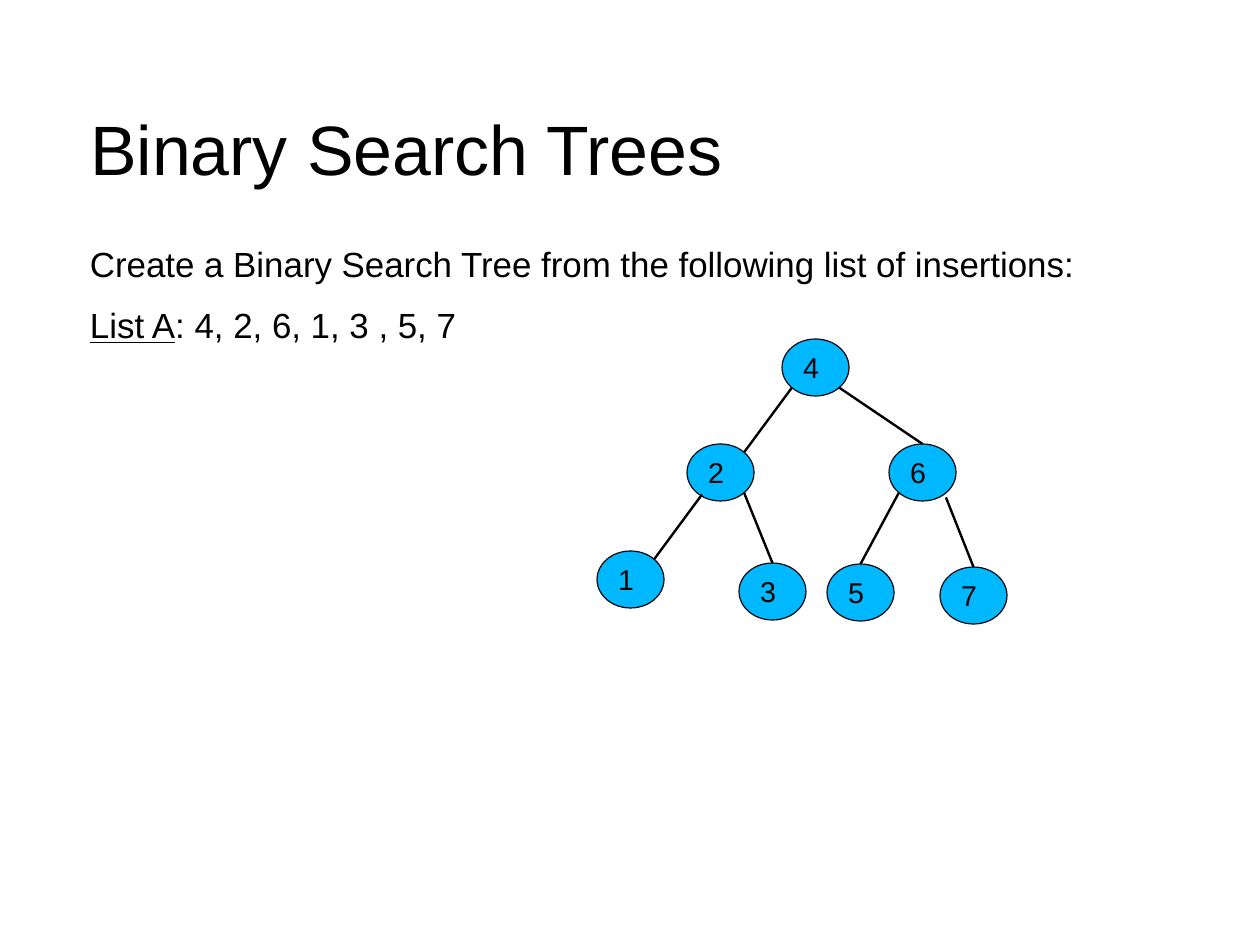
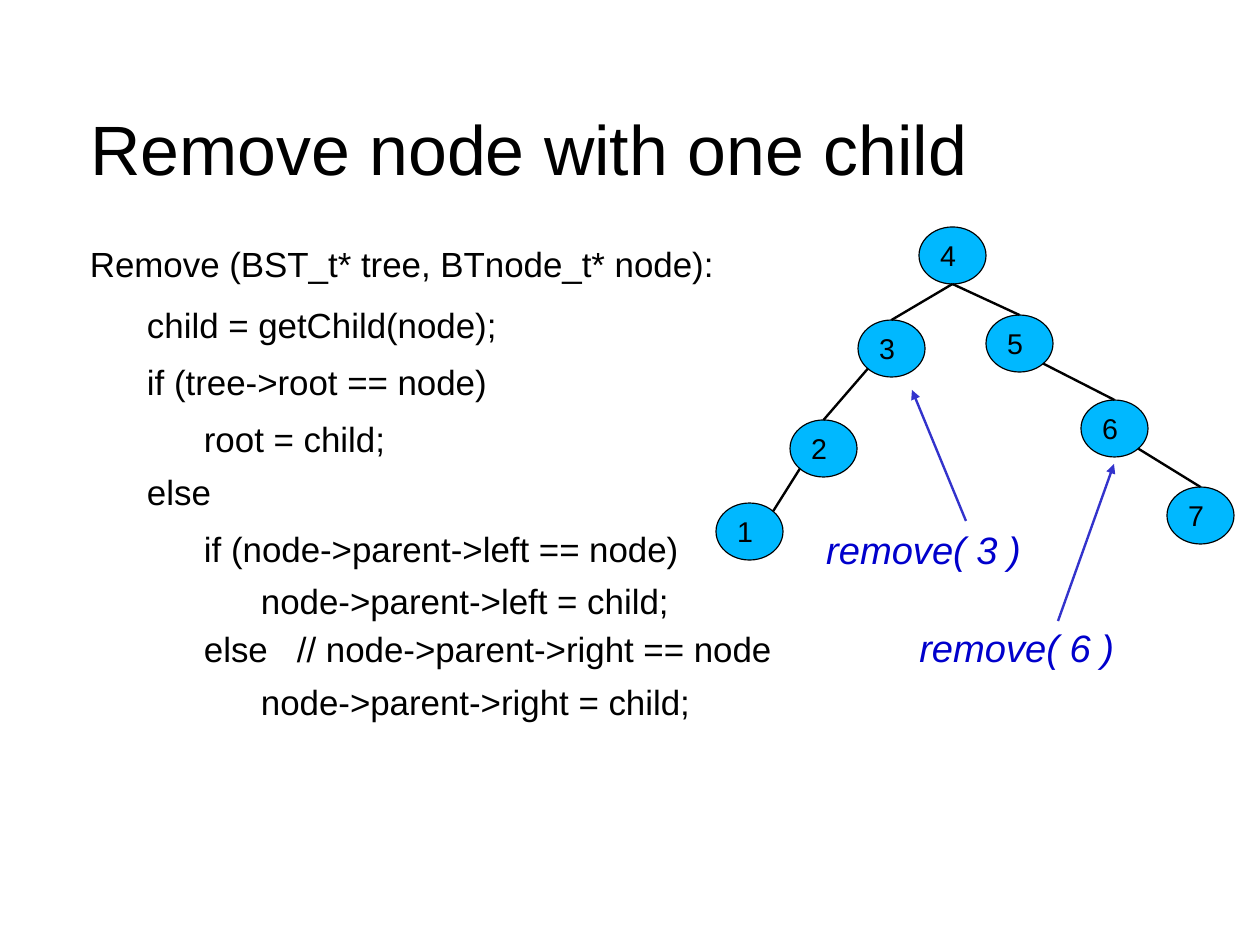
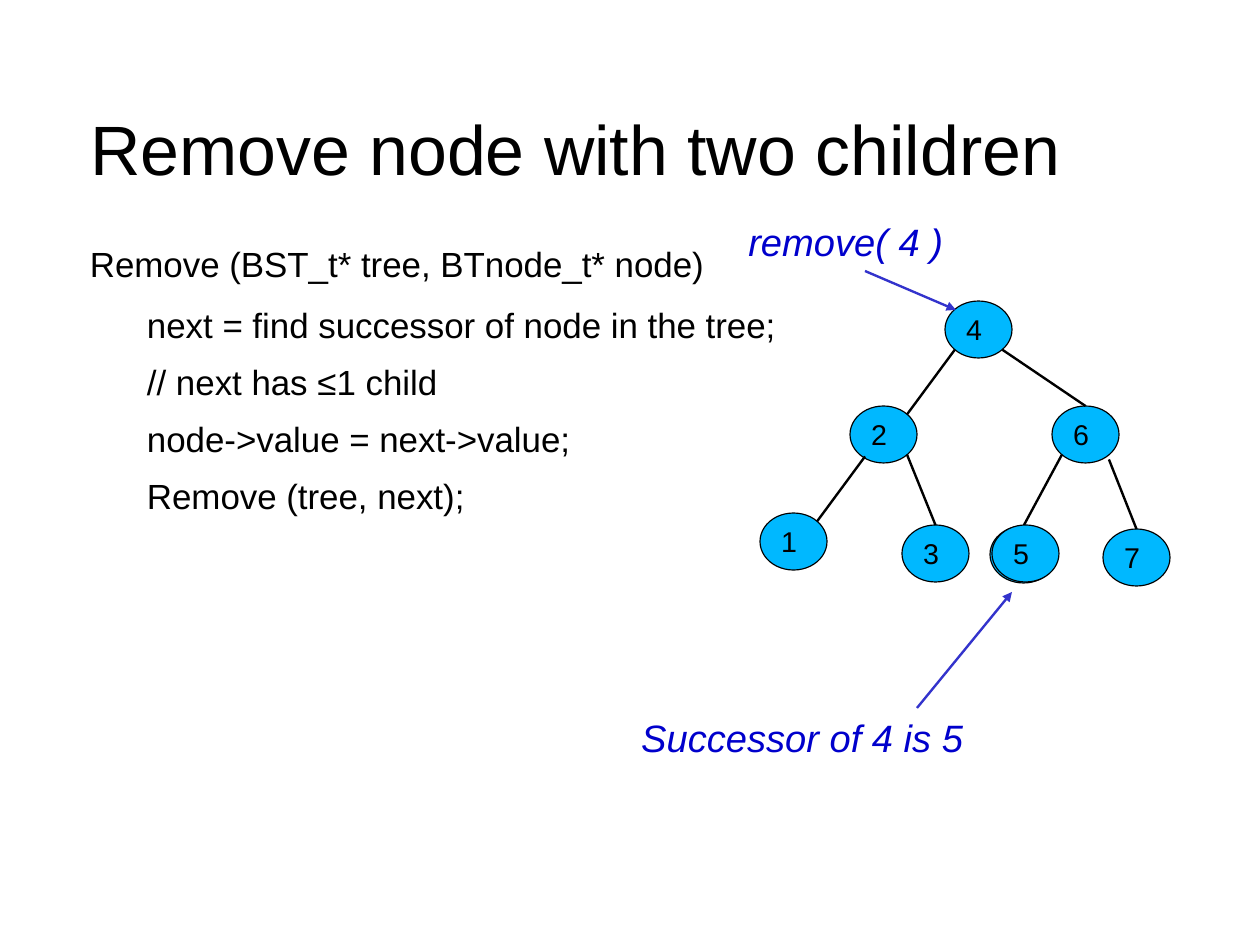
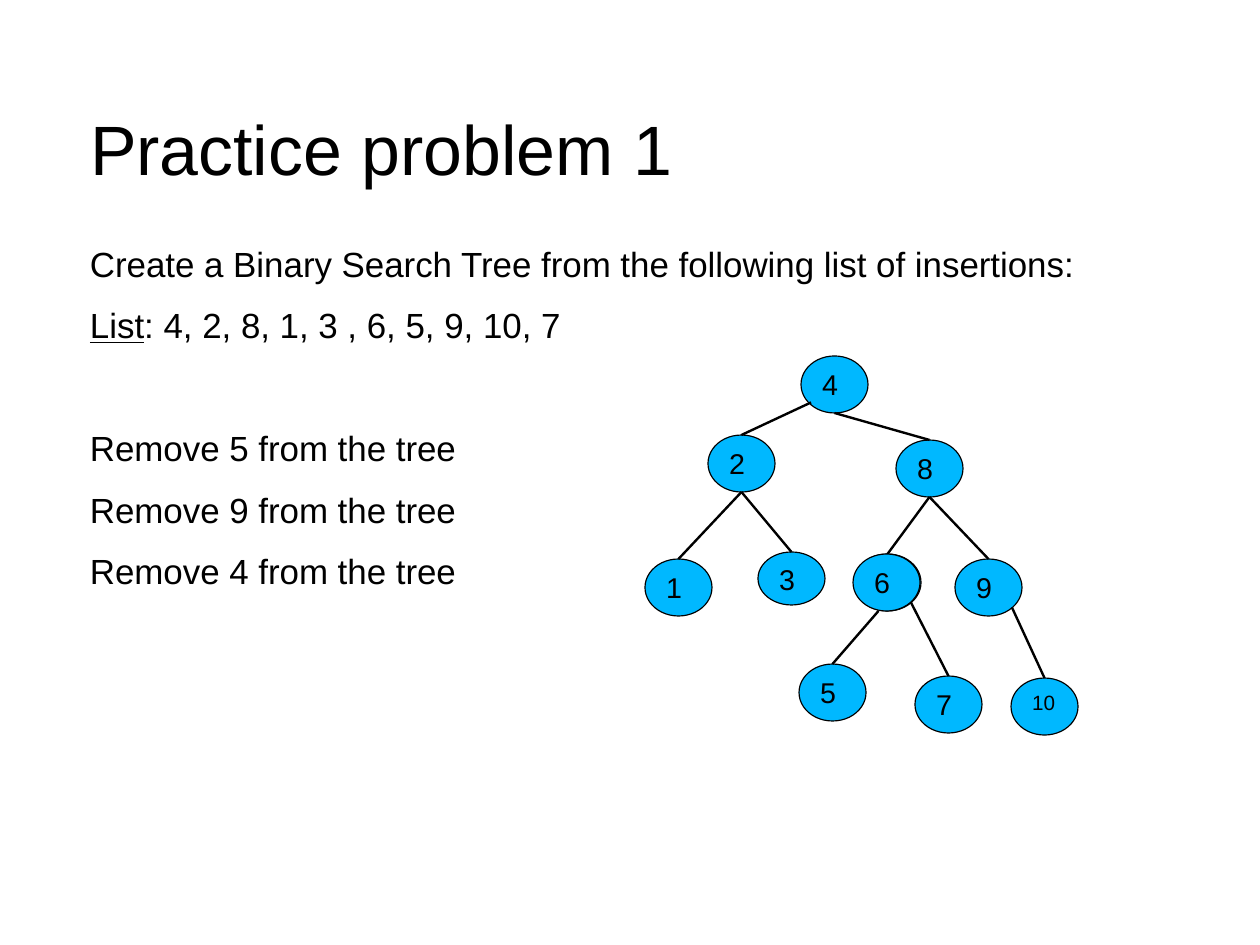
from dataclasses import dataclass

from lxml.etree import SubElement
from pptx import Presentation
from pptx.dml.color import RGBColor
from pptx.enum.shapes import MSO_CONNECTOR, MSO_SHAPE
from pptx.enum.text import MSO_ANCHOR, MSO_AUTO_SIZE, PP_ALIGN
from pptx.oxml.ns import qn
from pptx.util import Emu, Pt

EMU_PER_PX = 8000


@dataclass(frozen=True)
class Theme:
    font: str = "Arial"
    ink: str = "000000"
    node_fill: str = "00B8FF"
    callout_ink: str = "0000CC"
    arrow: str = "3333CC"
    title_size: int = 44
    body_size: int = 22
    callout_size: int = 24
    node_size: int = 18
    small_node_size: int = 13
    outline: float = 0.75
    stroke: float = 1.5
    line_spacing: float = 0.93
    level_gaps: tuple = (14.2, 11.4, 8.5, 5.8)
    section_gap: float = 38.7
    remark_gap: float = 12.2


@dataclass(frozen=True)
class Box:
    left: int
    top: int
    width: int
    height: int


@dataclass(frozen=True)
class Line:
    text: str
    level: int = 0
    underlined: str = ""
    remark: str = ""
    new_section: bool = False


@dataclass(frozen=True)
class Node:
    text: str
    left: int
    top: int
    height: int = 57


@dataclass(frozen=True)
class Edge:
    parent: str
    leave: str
    child: str
    enter: str = "top"
    shift: tuple = (0, 0)


@dataclass(frozen=True)
class Tree:
    nodes: tuple
    edges: tuple


THEME = Theme()
PAGE_WIDTH, PAGE_HEIGHT = 1260, 945
TITLE_BOX = Box(90, 72, 1057, 157)
BODY_BOX = Box(90, 244, 1106, 601)
LEVEL_INDENT = 57
NODE_WIDTH = 67
SITES = {
    "top": (0.5, 0),
    "top right": (0.85, 0.15),
    "bottom left": (0.15, 0.85),
    "bottom": (0.5, 1),
    "bottom right": (0.85, 0.85),
}

BALANCED_TREE = Tree(
    nodes=(
        Node("4", 185, 0), Node("2", 90, 105), Node("6", 292, 105), Node("1", 0, 212),
        Node("3", 142, 224), Node("5", 230, 225), Node("7", 343, 228),
    ),
    edges=(
        Edge("4", "bottom left", "2", "top right"),
        Edge("4", "bottom right", "6"),
        Edge("2", "bottom left", "1", "top right", (5, 2)),
        Edge("2", "bottom right", "3"),
        Edge("6", "bottom left", "5"),
        Edge("6", "bottom right", "7", shift=(0, 5)),
    ),
)
CHAIN_TREE = Tree(
    nodes=(
        Node("4", 203, 0), Node("5", 270, 88), Node("6", 365, 173), Node("7", 451, 260),
        Node("3", 142, 93), Node("2", 74, 193), Node("1", 0, 276),
    ),
    edges=(
        Edge("4", "bottom", "5"),
        Edge("5", "bottom right", "6"),
        Edge("6", "bottom right", "7"),
        Edge("4", "bottom", "3"),
        Edge("3", "bottom left", "2"),
        Edge("2", "bottom left", "1", "top right"),
    ),
)
PRACTICE_TREE = Tree(
    nodes=(
        Node("4", 156, 0), Node("2", 63, 79), Node("8", 251, 84), Node("1", 0, 203),
        Node("3", 113, 196, 53), Node("6", 209, 198), Node("9", 310, 203),
        Node("5", 154, 308), Node("7", 270, 320), Node("10", 366, 322),
    ),
    edges=(
        Edge("4", "bottom left", "2", shift=(0, -2)),
        Edge("4", "bottom", "8"),
        Edge("2", "bottom", "1"),
        Edge("2", "bottom", "3"),
        Edge("8", "bottom", "6"),
        Edge("8", "bottom", "9"),
        Edge("6", "bottom", "5", shift=(-9, 0)),
        Edge("6", "bottom right", "7"),
        Edge("9", "bottom right", "10"),
    ),
)
INSERTION_PROMPT = Line("Create a Binary Search Tree from the following list of insertions:")


def px(length):
    return Emu(round(length * EMU_PER_PX))


def frame_of(box):
    return px(box.left), px(box.top), px(box.width), px(box.height)


def style_paragraph(para, size, color=THEME.ink):
    para.alignment = PP_ALIGN.LEFT
    para.line_spacing = THEME.line_spacing
    para.font.name = THEME.font
    para.font.size = Pt(size)
    para.font.color.rgb = RGBColor.from_string(color)


def add_text_box(page, box, inset_top=None):
    frame = page.shapes.add_textbox(*frame_of(box)).text_frame
    frame.word_wrap = True
    if inset_top is not None:
        frame.margin_left = frame.margin_right = frame.margin_bottom = 0
        frame.margin_top = px(inset_top)
    return frame


def add_line(page, start, end, color=THEME.ink, arrow=False):
    line = page.shapes.add_connector(
        MSO_CONNECTOR.STRAIGHT, px(start[0]), px(start[1]), px(end[0]), px(end[1])
    )
    line.line.color.rgb = RGBColor.from_string(color)
    line.line.width = Pt(THEME.stroke)
    properties = line._element.spPr
    if arrow:
        SubElement(properties.find(qn("a:ln")), qn("a:tailEnd"), type="triangle")
    SubElement(properties, qn("a:effectLst"))


def add_title(page, box, text):
    frame = add_text_box(page, box, inset_top=4)
    frame.vertical_anchor = MSO_ANCHOR.MIDDLE
    para = frame.paragraphs[0]
    para.text = text
    style_paragraph(para, THEME.title_size)


def add_span(para, text):
    span = para.add_run()
    span.text = text
    return span


def add_body(page, box, lines):
    frame = add_text_box(page, box, inset_top=2)
    for index, line in enumerate(lines):
        para = frame.add_paragraph() if index else frame.paragraphs[0]
        style_paragraph(para, THEME.body_size)
        para.level = line.level
        para.space_after = Pt(THEME.level_gaps[line.level])
        if line.new_section:
            para.space_before = Pt(THEME.section_gap)
        properties = para._p.get_or_add_pPr()
        properties.set("marL", str(px(line.level * LEVEL_INDENT)))
        properties.set("indent", "0")
        if line.underlined:
            add_span(para, line.underlined).font.underline = True
        add_span(para, line.text)
        if line.remark:
            gap = add_span(para, " ")
            gap._r.get_or_add_rPr().set("spc", str(round(THEME.remark_gap * 100)))
            add_span(para, line.remark)


def add_node(page, box, text):
    shape = page.shapes.add_shape(MSO_SHAPE.OVAL, *frame_of(box))
    shape.shadow.inherit = False
    shape.fill.solid()
    shape.fill.fore_color.rgb = RGBColor.from_string(THEME.node_fill)
    shape.line.color.rgb = RGBColor.from_string(THEME.ink)
    shape.line.width = Pt(THEME.outline)
    frame = shape.text_frame
    frame.word_wrap = True
    frame.vertical_anchor = MSO_ANCHOR.TOP
    para = frame.paragraphs[0]
    para.text = text
    style_paragraph(para, THEME.node_size if len(text) == 1 else THEME.small_node_size)


def site_of(box, site):
    across, down = SITES[site]
    return box.left + across * box.width, box.top + down * box.height


def add_tree(page, left, top, tree, overlays=()):
    def place(node):
        box = Box(left + node.left, top + node.top, NODE_WIDTH, node.height)
        add_node(page, box, node.text)
        return box

    boxes = {node.text: place(node) for node in tree.nodes}
    for edge in tree.edges:
        x, y = site_of(boxes[edge.parent], edge.leave)
        start = x + edge.shift[0], y + edge.shift[1]
        add_line(page, start, site_of(boxes[edge.child], edge.enter))
    for node in overlays:
        place(node)


def add_callout(page, box, text, start, tip):
    points = [(box.left + x, box.top + y) for x, y in (start, tip)]
    add_line(page, *points, color=THEME.arrow, arrow=True)
    frame = add_text_box(page, box)
    frame.auto_size = MSO_AUTO_SIZE.SHAPE_TO_FIT_TEXT
    para = frame.paragraphs[0]
    para.text = text
    style_paragraph(para, THEME.callout_size, THEME.callout_ink)
    para.font.italic = True


def add_page(deck, title, lines):
    page = deck.slides.add_slide(deck.slide_layouts[6])
    add_title(page, TITLE_BOX, title)
    add_body(page, BODY_BOX, lines)
    return page


def build_insertion_page(deck):
    page = add_page(deck, "Binary Search Trees", (
        INSERTION_PROMPT,
        Line(": 4, 2, 6, 1, 3 , 5, 7", underlined="List A"),
    ))
    add_tree(page, 597, 339, BALANCED_TREE)


def build_one_child_page(deck):
    page = add_page(deck, "Remove node with one child", (
        Line("Remove (BST_t* tree, BTnode_t* node):"),
        Line("child = getChild(node);", 1),
        Line("if (tree->root == node)", 1),
        Line("root = child;", 2),
        Line("else", 1),
        Line("if (node->parent->left == node)", 2),
        Line("node->parent->left = child;", 3),
        Line("else", 2, remark="// node->parent->right == node"),
        Line("node->parent->right = child;", 3),
    ))
    add_tree(page, 716, 227, CHAIN_TREE)
    add_callout(page, Box(815, 525, 255, 55), "remove( 3 )", (151, -4), (97, -135))
    add_callout(page, Box(908, 623, 255, 55), "remove( 6 )", (150, -2), (206, -159))


def build_two_children_page(deck):
    page = add_page(deck, "Remove node with two children", (
        Line("Remove (BST_t* tree, BTnode_t* node)"),
        Line("next = find successor of node in the tree;", 1),
        Line("// next has ≤1 child", 1),
        Line("node->value = next->value;", 1),
        Line("Remove (tree, next);", 1),
    ))
    add_tree(page, 760, 301, BALANCED_TREE, overlays=(Node("5", 232, 224),))
    add_callout(page, Box(737, 217, 255, 55), "remove( 4 )", (128, 54), (219, 93))
    add_callout(page, Box(630, 713, 405, 55), "Successor of 4 is 5", (287, -5), (382, -121))


def build_practice_page(deck):
    page = add_page(deck, "Practice problem 1", (
        INSERTION_PROMPT,
        Line(": 4, 2, 8, 1, 3 , 6, 5, 9, 10, 7", underlined="List"),
        Line("Remove 5 from the tree", new_section=True),
        Line("Remove 9 from the tree"),
        Line("Remove 4 from the tree"),
    ))
    add_tree(page, 645, 356, PRACTICE_TREE, overlays=(Node("6", 208, 198),))


def main():
    deck = Presentation()
    deck.slide_width, deck.slide_height = px(PAGE_WIDTH), px(PAGE_HEIGHT)
    build_insertion_page(deck)
    build_one_child_page(deck)
    build_two_children_page(deck)
    build_practice_page(deck)
    deck.save("out.pptx")


if __name__ == "__main__":
    main()
